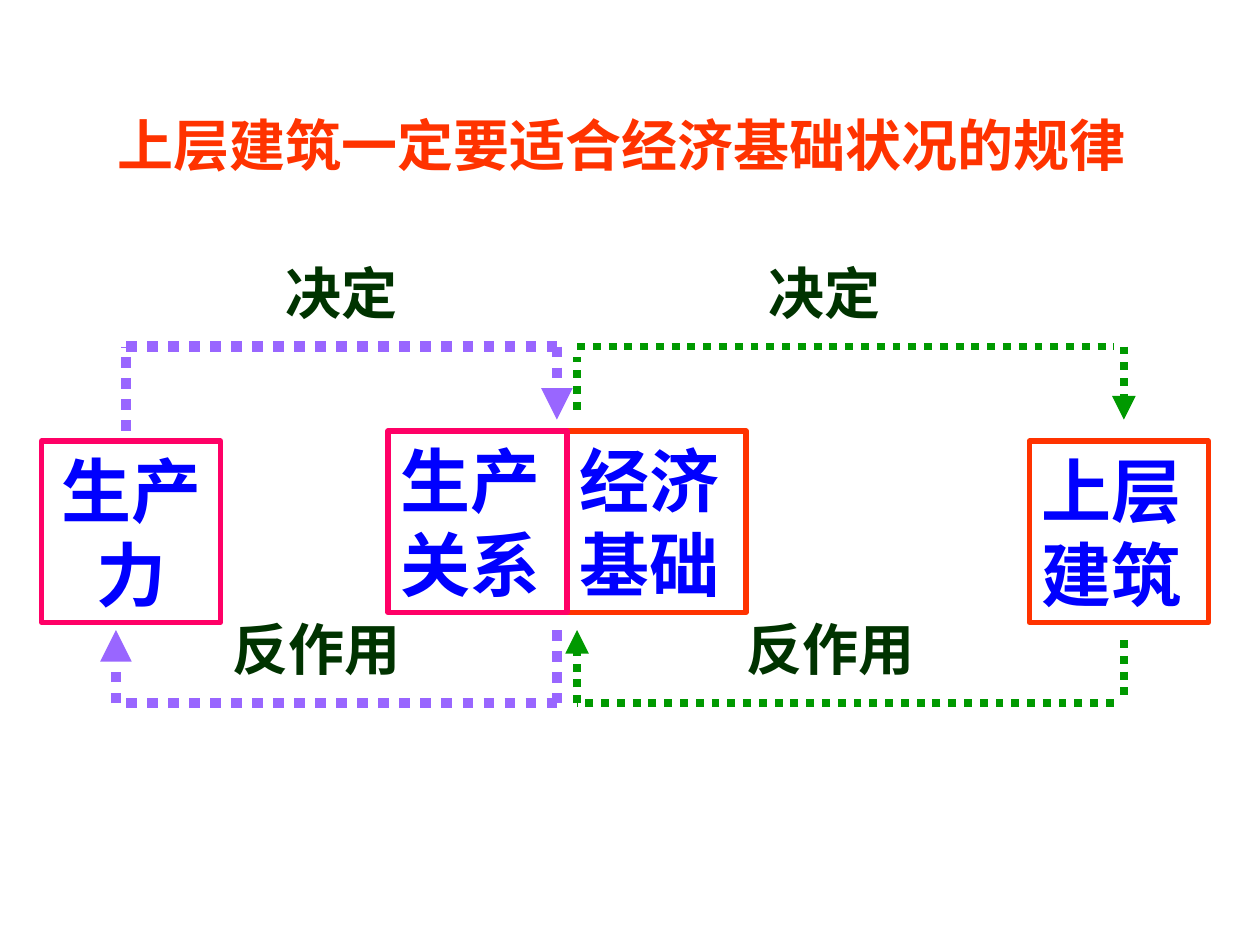
from dataclasses import dataclass

from lxml import etree
from pptx import Presentation
from pptx.dml.color import RGBColor
from pptx.enum import dml, shapes, text
from pptx.oxml.ns import qn
from pptx.util import Inches, Pt


@dataclass(frozen=True)
class Theme:
    latin: str = "Times New Roman"
    chinese: str = "Noto Sans CJK SC"
    title: str = "FF3300"
    concept: str = "0000FF"
    label: str = "003300"
    production: str = "FF0066"
    society: str = "FF3300"
    production_loop: str = "9966FF"
    society_loop: str = "009900"
    text_size: int = 32
    concept_size: int = 40
    border: int = 3


THEME = Theme()
LABEL_HEIGHT = 0.64
CONCEPT_WIDTH, CONCEPT_HEIGHT = 1.42, 1.44


def rgb(color):
    return RGBColor.from_string(color)


def write(shape, words, size, color, latin=THEME.latin, align=text.PP_ALIGN.LEFT):
    """Fill a shape with one bold run, set from the top of its frame."""
    frame = shape.text_frame
    frame.word_wrap = True
    frame.auto_size = text.MSO_AUTO_SIZE.NONE
    frame.vertical_anchor = text.MSO_ANCHOR.TOP
    paragraph = frame.paragraphs[0]
    paragraph.alignment = align
    run = paragraph.add_run()
    run.text = words
    run.font.size = Pt(size)
    run.font.bold = True
    run.font.color.rgb = rgb(color)
    run.font.name = latin
    east_asian = etree.SubElement(run._r.get_or_add_rPr(), qn("a:ea"))
    east_asian.set("typeface", THEME.chinese)


def add_title(slide, left, top, width, height):
    title = slide.shapes.title
    title.left, title.top = Inches(left), Inches(top)
    title.width, title.height = Inches(width), Inches(height)
    write(title, "上层建筑一定要适合经济基础状况的规律", THEME.text_size, THEME.title)


def add_concept(slide, left, top, words, border, **style):
    concept = slide.shapes.add_shape(
        shapes.MSO_SHAPE.RECTANGLE, Inches(left), Inches(top),
        Inches(CONCEPT_WIDTH), Inches(CONCEPT_HEIGHT))
    concept.shadow.inherit = False
    concept.fill.background()
    concept.line.color.rgb = rgb(border)
    concept.line.width = Pt(THEME.border)
    write(concept, words, THEME.concept_size, THEME.concept, **style)


def add_label(slide, left, top, width, words):
    label = slide.shapes.add_textbox(
        Inches(left), Inches(top), Inches(width), Inches(LABEL_HEIGHT))
    write(label, words, THEME.text_size, THEME.label)


def add_dotted_line(slide, start, end, color, weight, arrow):
    line = slide.shapes.add_connector(
        shapes.MSO_CONNECTOR.STRAIGHT, *map(Inches, (*start, *end)))
    line.line.color.rgb = rgb(color)
    line.line.width = Pt(weight)
    # python-pptx's ROUND_DOT is the preset sysDot
    line.line.dash_style = dml.MSO_LINE.ROUND_DOT
    if arrow:
        tail = etree.SubElement(line.line._get_or_add_ln(), qn("a:tailEnd"))
        tail.set("type", "triangle")
    etree.SubElement(line._element.spPr, qn("a:effectLst"))


def add_loop(slide, left, top, segments, labels, color, weight):
    """Draw dotted segments (x1, y1, x2, y2, arrow) and labels from a corner."""
    for x1, y1, x2, y2, arrow in segments:
        add_dotted_line(slide, (left + x1, top + y1), (left + x2, top + y2),
                        color, weight, arrow)
    for x, y, width, words in labels:
        add_label(slide, left + x, top + y, width, words)


def add_production_loop(slide, left, top, width, height):
    inset = 0.08
    segments = [
        (inset, 0.67, inset, 0, False),
        (width, height - 0.58, width, height, False),
        (inset, 0, width, 0, False),
        (inset, height, width, height, False),
        (0, height, 0, height - 0.58, True),
        (width, 0, width, 0.58, True),
    ]
    labels = [(1.25, -0.75, 1.17, "决定"),
              (0.83, height - 0.75, 1.67, "反作用")]
    add_loop(slide, left, top, segments, labels, THEME.production_loop, 6)


def add_society_loop(slide, left, top, width, height):
    gap = 0.08
    segments = [
        (0, 0.5, 0, gap, False),
        (0, 0, width - gap, 0, False),
        (width, 0, width, 0.58, True),
        (width, height - 0.5, width, height, False),
        (width - gap, height, 0, height, False),
        (0, height, 0, height - 0.58, True),
    ]
    labels = [(1.42, -0.75, 1.17, "决定"),
              (1.25, height - 0.75, 1.67, "反作用")]
    add_loop(slide, left, top, segments, labels, THEME.society_loop, 4.5)


def main():
    deck = Presentation()
    deck.slide_width, deck.slide_height = Inches(10), Inches(7.5)
    slide = deck.slides.add_slide(deck.slide_layouts[5])

    add_title(slide, 0.83, 0.83, 8.42, LABEL_HEIGHT)

    loop_top, loop_height = 2.75, 2.83
    middle, inner_top, outer_top = 4.5, 3.42, 3.5
    add_concept(slide, middle, inner_top, "经济基础", THEME.society)
    add_concept(slide, 8.17, outer_top, "上层建筑", THEME.society)
    add_society_loop(slide, 4.58, loop_top, 4.34, loop_height)

    add_concept(slide, middle - CONCEPT_WIDTH, inner_top, "生产关系", THEME.production)
    add_concept(slide, 0.33, outer_top, "生产 力", THEME.production,
                latin=THEME.chinese, align=text.PP_ALIGN.CENTER)
    add_production_loop(slide, 0.92, loop_top, 3.5, loop_height)

    deck.save("out.pptx")


if __name__ == "__main__":
    main()
